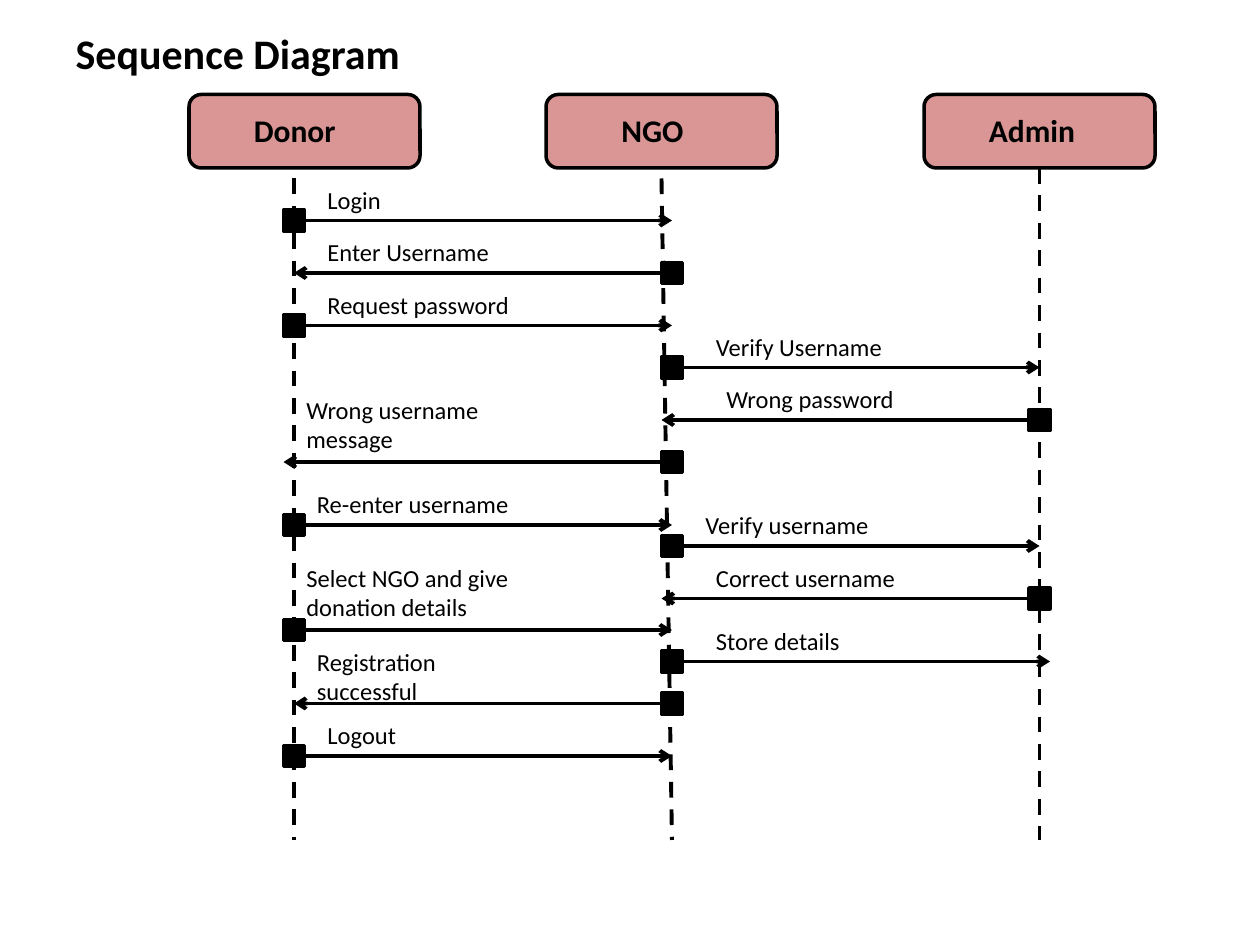
from pptx import Presentation
from pptx.dml.color import RGBColor
from pptx.enum.dml import MSO_LINE_DASH_STYLE as Dash
from pptx.enum.shapes import MSO_CONNECTOR as Connector, MSO_SHAPE as Shape
from pptx.enum.text import MSO_ANCHOR as Anchor, MSO_AUTO_SIZE as AutoSize, PP_ALIGN as Align
from pptx.oxml.ns import qn
from pptx.util import Inches, Pt
from lxml.etree import SubElement

BLACK = RGBColor(0x00, 0x00, 0x00)
ROSE = RGBColor(0xD9, 0x96, 0x94)
FONT = "Calibri"
COLUMNS, ROWS = 120, 90
MARKER = 2
LIFELINE_END = 80

TITLE = "Sequence Diagram"
# name: box left, name left, name width, marker centre, lifeline top x and y
ACTORS = {
    "Donor": (18, 23, 12, 28, 28, 17),
    "NGO": (52, 58, 12, 64, 63, 17),
    "Admin": (88, 93, 15, 99, 99, 16),
}
# label, sender, arrow end, row, label left, width, rise, lines
MESSAGES = [
    ("Login", "Donor", 64, 21, 30, 26, 4, 1),
    ("Enter Username", "NGO", 28, 26, 30, 24, 4, 1),
    ("Request password", "Donor", 64, 31, 30, 27, 4, 1),
    ("Verify Username", "NGO", 99, 35, 67, 27, 4, 1),
    ("Wrong password", "Admin", 63, 40, 68, 25, 4, 1),
    ("Wrong username message", "NGO", 27, 44, 28, 27, 7, 2),
    ("Re-enter username", "Donor", 64, 50, 29, 23, 4, 1),
    ("Verify username", "NGO", 99, 52, 66, 26, 4, 1),
    ("Correct username", "Admin", 63, 57, 67, 27, 4, 1),
    ("Select NGO and give donation details", "Donor", 64, 60, 28, 30, 7, 2),
    ("Store details", "NGO", 100, 63, 67, 28, 4, 1),
    ("Registration successful", "NGO", 28, 67, 29, 21, 6, 2),
    ("Logout", "Donor", 64, 72, 30, 22, 4, 1),
]

deck = Presentation()
deck.slide_width, deck.slide_height = Inches(10), Inches(7.5)
slide = deck.slides.add_slide(deck.slide_layouts.get_by_name("Title Only"))


def place(*cells):
    scales = (deck.slide_width / COLUMNS, deck.slide_height / ROWS) * 2
    return [round(cell * scale) for cell, scale in zip(cells, scales)]


def write(text, cells, size=14, bold=False, holder=None):
    holder = holder or slide.shapes.add_textbox(*place(*cells))
    holder.left, holder.top, holder.width, holder.height = place(*cells)
    frame = holder.text_frame
    frame.text = text
    frame.word_wrap = True
    frame.auto_size = AutoSize.SHAPE_TO_FIT_TEXT
    frame.vertical_anchor = Anchor.TOP
    frame.paragraphs[0].alignment = Align.LEFT
    font = frame.paragraphs[0].runs[0].font
    font.name, font.size, font.bold = FONT, Pt(size), bold
    font.color.rgb = BLACK


def block(preset, cells, fill):
    box = slide.shapes.add_shape(preset, *place(*cells))
    box.shadow.inherit = False
    box.fill.solid()
    box.fill.fore_color.rgb = fill
    box.line.color.rgb = BLACK
    box.line.width = Pt(2)


def rule(cells, dashed=False):
    line = slide.shapes.add_connector(Connector.STRAIGHT, *place(*cells))
    line.line.color.rgb = BLACK
    line.line.width = Pt(2.25)
    if dashed:
        line.line.dash_style = Dash.DASH
    else:
        SubElement(line.line._get_or_add_ln(), qn("a:tailEnd"), type="arrow")
    SubElement(line._element.spPr, qn("a:effectLst"))


write(TITLE, (6, 2, 41, 6), size=24, bold=True, holder=slide.shapes.title)

for name, (box_left, name_left, name_width, centre, top_x, top_y) in ACTORS.items():
    block(Shape.ROUNDED_RECTANGLE, (box_left, 9, 22, 7), ROSE)
    write(name, (name_left, 10, name_width, 4.8), size=18, bold=True)
    rule((top_x, top_y, centre, LIFELINE_END), dashed=True)

for label, sender, end, row, left, width, rise, lines in MESSAGES:
    start = ACTORS[sender][3]
    rule((start, row, end, row))
    block(Shape.RECTANGLE, (start - MARKER / 2, row - MARKER / 2, MARKER, MARKER), BLACK)
    write(label, (left, row - rise, width, 1.2 + 2.8 * lines))

deck.save("out.pptx")
